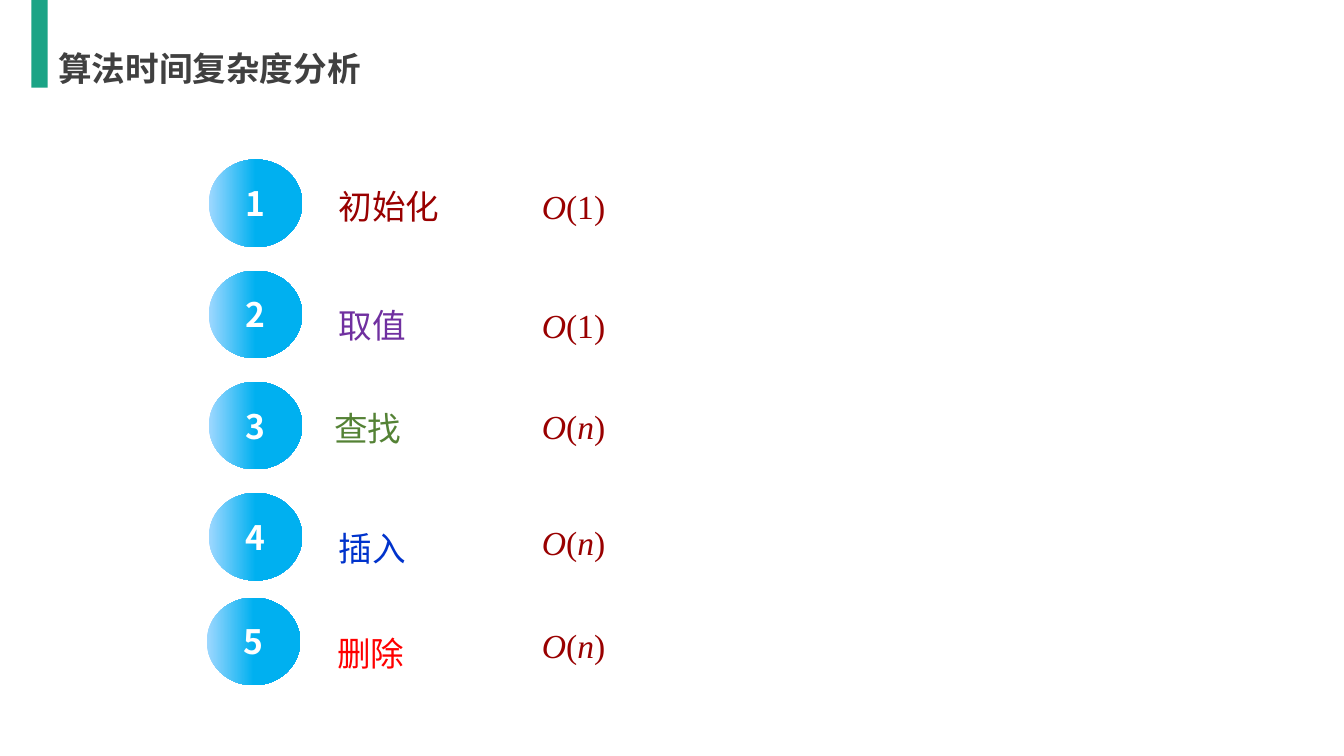
"""Build the slide on the time complexity of list operations."""
from dataclasses import dataclass
from itertools import groupby

from lxml import etree
from pptx import Presentation
from pptx import util as u
from pptx.dml.color import RGBColor
from pptx.enum import shapes, text
from pptx.oxml import ns


@dataclass(frozen=True)
class Theme:
    accent: str = "1BA486"
    heading: str = "404040"
    number: str = "FFFFFF"
    cost: str = "990000"
    badge: tuple = ((0, "9FD8FF"), (0.5, "00B0F0"))
    chinese: str = "Noto Sans CJK SC"
    formula: str = "Times New Roman"
    size: int = 24


def write(shape, content, *, color, font, size, bold=False, math=False,
          align=text.PP_ALIGN.LEFT, spacing=None):
    paragraph = shape.text_frame.paragraphs[0]
    paragraph.alignment = align
    paragraph.line_spacing = spacing
    pieces = groupby(content, str.isalpha) if math else [(False, content)]
    for italic, letters in pieces:
        run = paragraph.add_run()
        run.text = "".join(letters)
        run.font.size = u.Pt(size)
        run.font.bold = bold
        run.font.italic = italic
        run.font.color.rgb = RGBColor.from_string(color)
        run.font.name = font
        east_asian = etree.SubElement(run.font._element, ns.qn("a:ea"))
        east_asian.set("typeface", font)


class Deck:
    def __init__(self, theme):
        self.theme = theme
        self.presentation = Presentation()
        self.presentation.slide_width = u.Cm(33.87)
        self.presentation.slide_height = u.Cm(19.05)
        self.slide = self.presentation.slides.add_slide(self.presentation.slide_layouts[6])

    def shape(self, kind, *box):
        shape = self.slide.shapes.add_shape(kind, *map(u.Cm, box))
        shape.shadow.inherit = False
        shape.line.fill.background()
        return shape

    def bar(self, *box):
        shape = self.shape(shapes.MSO_SHAPE.RECTANGLE, *box)
        shape.fill.solid()
        shape.fill.fore_color.rgb = RGBColor.from_string(self.theme.accent)

    def badge(self, number, left, top):
        shape = self.shape(shapes.MSO_SHAPE.OVAL, left, top, 2.36, 2.21)
        shape.fill.gradient()
        shape.fill.gradient_angle = 0
        for stop, (position, color) in zip(shape.fill.gradient_stops, self.theme.badge):
            stop.position = position
            stop.color.rgb = RGBColor.from_string(color)
        shape.text_frame.vertical_anchor = text.MSO_ANCHOR.MIDDLE
        write(shape, str(number), color=self.theme.number, font=self.theme.chinese,
              size=self.theme.size, bold=True, align=text.PP_ALIGN.CENTER)

    def label(self, content, *box, **style):
        shape = self.slide.shapes.add_textbox(*map(u.Cm, box))
        shape.text_frame.word_wrap = False
        shape.text_frame.auto_size = text.MSO_AUTO_SIZE.SHAPE_TO_FIT_TEXT
        write(shape, content, size=self.theme.size, **style)


OPERATIONS = [
    ("初始化", "990000", "O(1)", 5.26, 4.02, 8.26, 4.06, 4.06),
    ("取值", "7030A0", "O(1)", 5.26, 6.82, 8.26, 7.06, 7.04),
    ("查找", "548235", "O(n)", 5.26, 9.62, 8.15, 9.65, 9.6),
    ("插入", "0033CC", "O(n)", 5.26, 12.42, 8.26, 12.67, 12.52),
    ("删除", "FF0000", "O(n)", 5.21, 15.06, 8.23, 15.32, 15.11),
]


def main():
    theme = Theme()
    deck = Deck(theme)
    deck.bar(0.79, 0, 0.41, 2.21)
    deck.label("算法时间复杂度分析", 1.22, 1.09, 8.2, 1.27,
               color=theme.heading, font=theme.chinese, bold=True)
    centered = {"align": text.PP_ALIGN.CENTER, "spacing": 1.5}
    for number, operation in enumerate(OPERATIONS, 1):
        name, color, cost, badge_left, badge_top, name_left, name_top, cost_top = operation
        deck.badge(number, badge_left, badge_top)
        deck.label(name, name_left, name_top, 0.54 + 0.85 * len(name), 1.63,
                   color=color, font=theme.chinese, **centered)
        deck.label(cost, 13.39, cost_top, 2.13, 1.6,
                   color=theme.cost, font=theme.formula, math=True, **centered)
    deck.presentation.save("out.pptx")


main()
